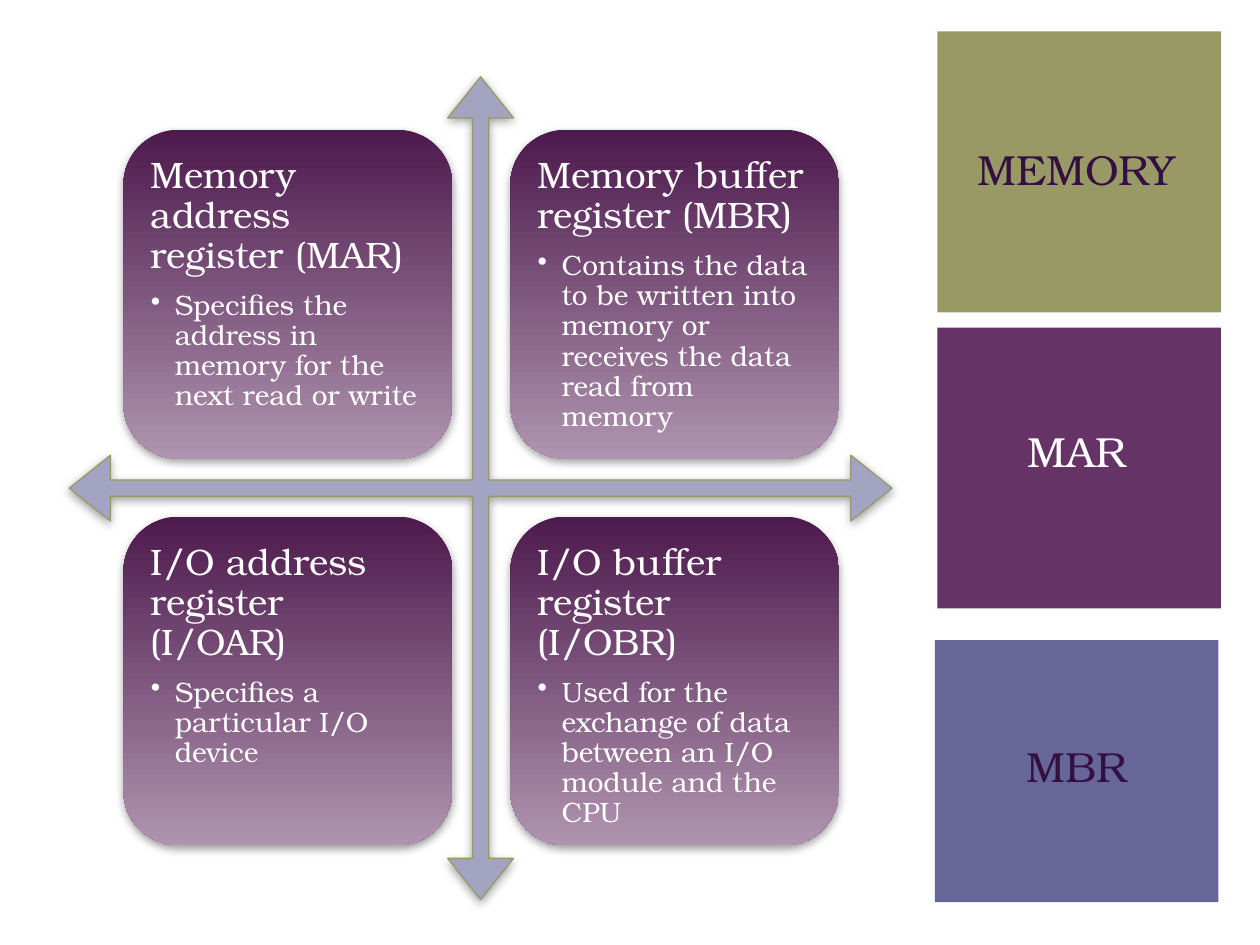
from lxml.etree import SubElement
from pptx import Presentation
from pptx.dml.color import RGBColor
from pptx.enum.shapes import MSO_SHAPE
from pptx.enum.text import MSO_ANCHOR, MSO_AUTO_SIZE, PP_ALIGN
from pptx.oxml.ns import qn
from pptx.util import Emu, Inches, Pt

HUES = {
    "olive": "999966", "plum": "663366", "slate": "666699",
    "haze": "A3A3C2", "dark": "4D1A4D", "pale": "AF94AF",
    "ink": "330F42", "white": "FFFFFF", "shade": "808080",
}
FONT = "TeX Gyre Bonum"
COLS, ROWS = 100, 75

CARDS = [
    ("Memory address register (MAR)",
     "Specifies the address in memory for the next read or write"),
    ("Memory buffer register (MBR)",
     "Contains the data to be written into memory or receives the data read from memory"),
    ("I/O address register (I/OAR)",
     "Specifies a particular I/O device"),
    ("I/O buffer register (I/OBR)",
     "Used for the exchange of data between an I/O module and the CPU"),
]
FIRST = (9.8, 10.3)  # grid place of the top left card
SIDE, STEP = 26.1, 30.7


def hue(name):
    return RGBColor.from_string(HUES[name])


class Deck:
    """Holds the style and the current slide; lengths are grid columns and rows."""

    def __init__(self):
        self.prs = Presentation()
        self.prs.slide_width, self.prs.slide_height = Inches(10), Inches(7.5)
        self.slide = self.prs.slides.add_slide(self.prs.slide_layouts[5])

    def place(self, x, y, wide, high):
        col, row = self.prs.slide_width / COLS, self.prs.slide_height / ROWS
        return [Emu(round(n)) for n in (x * col, y * row, wide * col, high * row)]

    def run(self, para, text, size, tint):
        run = para.add_run()
        run.text = text
        run.font.name, run.font.size = FONT, Pt(size)
        run.font.color.rgb = hue(tint)

    def shape(self, kind, area, fill=None):
        item = self.slide.shapes.add_shape(kind, *self.place(*area))
        item.shadow.inherit = False
        item.line.fill.background()
        if fill:
            item.fill.solid()
            item.fill.fore_color.rgb = hue(fill)
        return item

    def drop(self, item):
        """Give the shape a soft shadow straight below it."""
        glow = SubElement(item._element.spPr.find(qn("a:effectLst")), qn("a:outerShdw"),
                          blurRad=str(Pt(5)), dist=str(Pt(2)), dir="5400000",
                          rotWithShape="0")
        tone = SubElement(glow, qn("a:srgbClr"), val=HUES["shade"])
        SubElement(tone, qn("a:alpha"), val="75000")

    def cross(self, area):
        item = self.shape(MSO_SHAPE.QUAD_ARROW, area, "haze")
        for i, part in enumerate((0.02, 0.04, 0.05)):
            item.adjustments[i] = part
        item.line.color.rgb = hue("olive")
        item.line.width = Pt(0.75)
        self.drop(item)

    def card(self, x, y, name, note):
        item = self.shape(MSO_SHAPE.ROUNDED_RECTANGLE, (x, y, SIDE, SIDE))
        item.fill.gradient()
        item.fill.gradient_angle = 270
        for stop, tint in zip(item.fill.gradient_stops, ("dark", "pale")):
            stop.color.rgb = hue(tint)
        self.drop(item)
        frame = item.text_frame
        frame.word_wrap = True
        frame.vertical_anchor = MSO_ANCHOR.TOP
        frame.margin_left = frame.margin_right = Inches(0.09)
        frame.margin_top = frame.margin_bottom = Inches(0.09)
        head, point = frame.paragraphs[0], frame.add_paragraph()
        for para, text, size, gap in ((head, name, 21, 8.5), (point, note, 16, 3)):
            para.alignment = PP_ALIGN.LEFT
            para.line_spacing, para.space_after = 0.9, Pt(gap)
            self.run(para, text, size, "white")
        point.level = 1
        props = point._p.get_or_add_pPr()
        props.set("marL", str(Inches(0.19)))
        props.set("indent", str(-Inches(0.19)))
        SubElement(props, qn("a:buChar"), char="•")

    def label(self, area, text, tint):
        box = self.slide.shapes.add_textbox(*self.place(*area))
        self.word(box, text, tint)

    def title(self, area, text, tint):
        head = self.slide.shapes.title
        head.left, head.top, head.width, head.height = self.place(*area)
        self.slide.shapes._spTree.append(head._element)  # in front of its tile
        self.word(head, text, tint)
        head.text_frame.vertical_anchor = MSO_ANCHOR.BOTTOM

    def word(self, box, text, tint):
        """Fill the box with one centred word."""
        frame = box.text_frame
        frame.word_wrap = True
        frame.auto_size = MSO_AUTO_SIZE.NONE
        frame.paragraphs[0].alignment = PP_ALIGN.CENTER
        self.run(frame.paragraphs[0], text, 24, tint)


def main():
    deck = Deck()
    for area, fill in (((74.4, 2.5, 22.5, 22.3), "olive"),
                       ((74.4, 26, 22.5, 22.3), "plum"),
                       ((74.2, 50.8, 22.5, 20.8), "slate")):
        deck.shape(MSO_SHAPE.RECTANGLE, area, fill)
    deck.title((74.2, 6.7, 22.5, 9.2), "MEMORY", "ink")
    deck.label((74.2, 33.3, 22.5, 5), "MAR", "white")
    deck.label((74.2, 58.3, 22.5, 5), "MBR", "ink")

    deck.cross((5.5, 6.1, 65.3, 65.3))
    for i, (name, note) in enumerate(CARDS):
        row, col = divmod(i, 2)
        deck.card(FIRST[0] + col * STEP, FIRST[1] + row * STEP, name, note)
    deck.prs.save("out.pptx")


if __name__ == "__main__":
    main()
